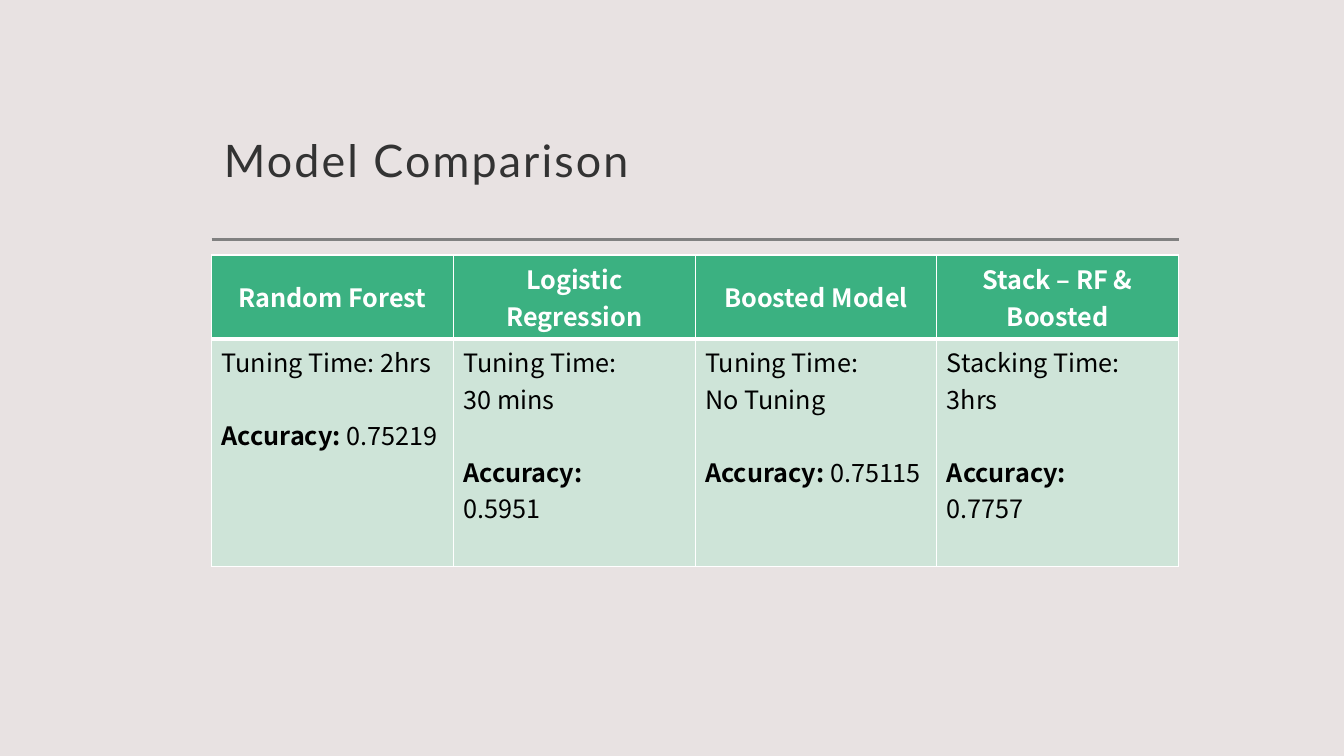
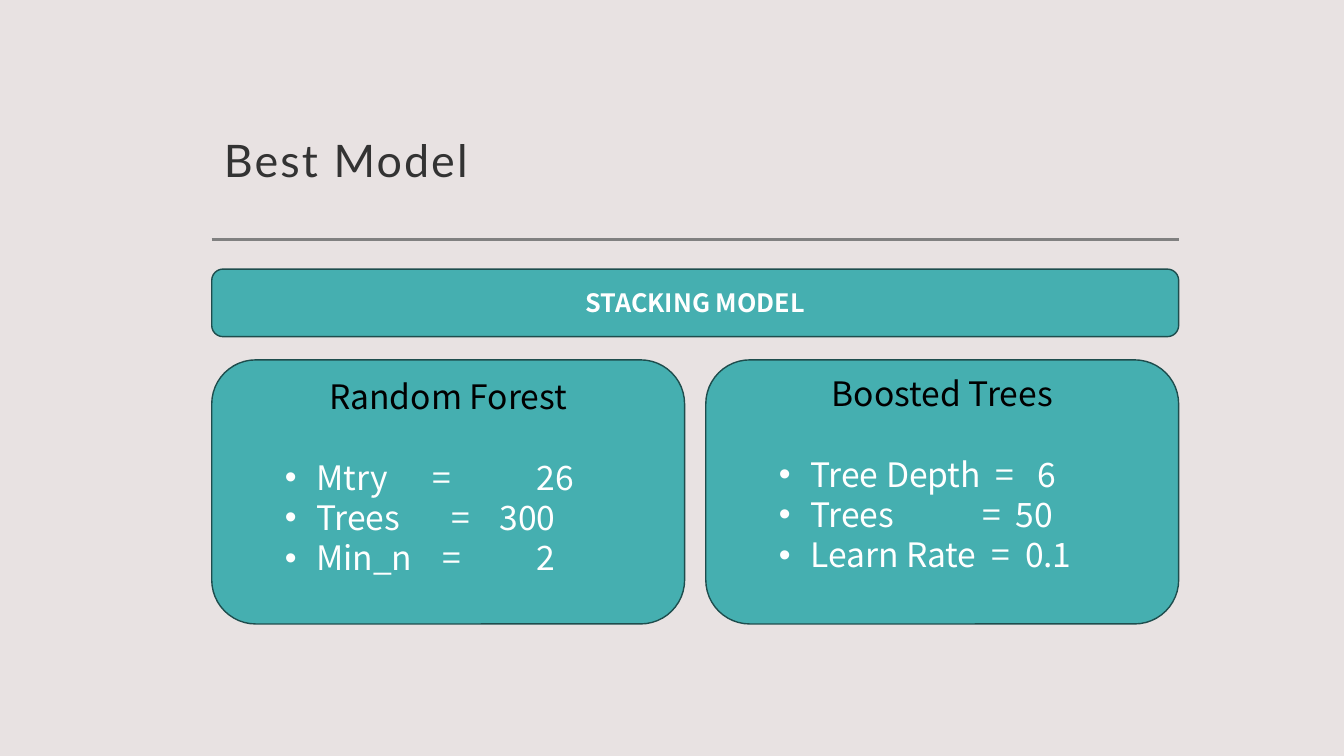
from lxml.etree import SubElement
from pptx import Presentation
from pptx.dml.color import RGBColor
from pptx.enum.shapes import MSO_CONNECTOR, MSO_SHAPE
from pptx.enum.text import MSO_ANCHOR, MSO_AUTO_SIZE, PP_ALIGN
from pptx.oxml.ns import qn
from pptx.util import Inches, Pt

COLORS = {
    "background": "E8E2E2", "rule": "808080", "title": "333333",
    "header": "3BB181", "body": "CEE4D8", "card": "45AFB0",
    "outline": "1E4D4D", "white": "FFFFFF", "black": "000000",
}
BODY_FONT = "Noto Sans CJK JP"
LEFT, WIDTH = 2.1, 9.59


def color(name):
    return RGBColor.from_string(COLORS[name])


def add_run(paragraph, text, size, ink, bold=False, name=BODY_FONT):
    run = paragraph.add_run()
    run.text = text
    formats = {"size": Pt(size), "bold": bold, "name": name}
    for attribute, value in formats.items():
        setattr(run.font, attribute, value)
    run.font.color.rgb = color(ink)
    return run


presentation = Presentation()
presentation.slide_width = Inches(13.33)
presentation.slide_height = Inches(7.5)
background = presentation.slide_master.background.fill
background.solid()
background.fore_color.rgb = color("background")
title_layout = presentation.slide_layouts[5]

slides = []
for heading in ("Model Comparison", "Best Model"):
    slide = presentation.slides.add_slide(title_layout)
    slides.append(slide)
    rule = slide.shapes.add_connector(
        MSO_CONNECTOR.STRAIGHT, Inches(LEFT), Inches(2.38), Inches(LEFT + WIDTH), Inches(2.38))
    rule.line.color.rgb = color("rule")
    rule.line.width = Pt(2)
    SubElement(rule._element.spPr, qn("a:effectLst"))

    title = slide.shapes.title
    title_box = {"left": LEFT, "top": 0.48, "width": WIDTH, "height": 1.47}
    for attribute, value in title_box.items():
        setattr(title, attribute, Inches(value))
    frame_format = {
        "margin_left": Inches(0.12), "margin_top": Inches(0.12),
        "margin_right": Inches(0.12), "margin_bottom": Inches(0.1),
        "vertical_anchor": MSO_ANCHOR.BOTTOM, "word_wrap": True,
        "auto_size": MSO_AUTO_SIZE.NONE,
    }
    for attribute, value in frame_format.items():
        setattr(title.text_frame, attribute, value)
    paragraph = title.text_frame.paragraphs[0]
    paragraph.alignment = PP_ALIGN.LEFT
    paragraph.line_spacing = 1.3
    run = add_run(paragraph, heading, 32, "title", name="Lato")
    run._r.get_or_add_rPr().set("spc", "150")

comparison, best = slides

models = [
    ("Random Forest", ["Tuning Time: 2hrs"], ["Accuracy: ", "0.75219"], True),
    ("Logistic Regression", ["Tuning Time:", "30 mins"], ["Accuracy:", "0.5951"], False),
    ("Boosted Model", ["Tuning Time:", "No Tuning"], ["Accuracy: ", "0.75115"], True),
    ("Stack – RF & Boosted", ["Stacking Time:", "3hrs"], ["Accuracy:", "0.7757"], False),
]
row_heights = (0.83, 2.26)
table = comparison.shapes.add_table(
    2, len(models), Inches(LEFT), Inches(2.53), Inches(WIDTH), Inches(sum(row_heights))).table
for row, height in zip(table.rows, row_heights):
    row.height = Inches(height)
for column, (model, times, (label, score), same_line) in enumerate(models):
    header, body = table.cell(0, column), table.cell(1, column)
    header.vertical_anchor = MSO_ANCHOR.MIDDLE
    paragraph = header.text_frame.paragraphs[0]
    paragraph.alignment = PP_ALIGN.CENTER
    add_run(paragraph, model, 18, "white", bold=True)

    frame = body.text_frame
    for index, text in enumerate(times):
        paragraph = frame.add_paragraph() if index else frame.paragraphs[0]
        add_run(paragraph, text, 18, "black")
    paragraph = frame.add_paragraph()
    paragraph.space_before = Pt(26)
    add_run(paragraph, label, 18, "black", bold=True)
    if not same_line:
        paragraph = frame.add_paragraph()
    add_run(paragraph, score, 18, "black")

    for cell, fill, top, bottom in ((header, "header", 1, 3), (body, "body", 3, 1)):
        properties = cell._tc.get_or_add_tcPr()
        for side, points in (("L", 1), ("R", 1), ("T", top), ("B", bottom)):
            border = SubElement(properties, qn(f"a:ln{side}"), w=str(Pt(points)))
            solid = SubElement(border, qn("a:solidFill"))
            SubElement(solid, qn("a:srgbClr"), val=COLORS["white"])
        cell.fill.solid()
        cell.fill.fore_color.rgb = color(fill)

CARD_WIDTH = 4.69
cards = [
    (LEFT, 2.67, WIDTH, 0.67, "STACKING MODEL", [], 0.05),
    (LEFT, 3.57, CARD_WIDTH, 2.62, "Random Forest",
     [("Mtry\t=\t26", 1.96, 3), ("Trees\t=\t300", 2.15, 2.63), ("Min_n\t=\t2", 2.06, 3)], 0.03),
    (LEFT + WIDTH - CARD_WIDTH, 3.57, CARD_WIDTH, 2.62, "Boosted Trees",
     [("Tree Depth\t=\t6", 2.65, 3.06), ("Trees\t=\t50", 2.52, 2.85),
      ("Learn Rate\t=\t0.1", 2.61, 2.94)], 0),
]
for left, top, width, height, heading, settings, margin in cards:
    card = best.shapes.add_shape(
        MSO_SHAPE.ROUNDED_RECTANGLE, Inches(left), Inches(top), Inches(width), Inches(height))
    card.shadow.inherit = False
    card.fill.solid()
    card.fill.fore_color.rgb = color("card")
    card.line.color.rgb = color("outline")
    card.line.width = Pt(1)
    frame = card.text_frame
    frame.word_wrap = True
    frame.margin_top = Inches(margin)
    frame.vertical_anchor = MSO_ANCHOR.TOP if settings else MSO_ANCHOR.MIDDLE
    paragraph = frame.paragraphs[0]
    paragraph.alignment = PP_ALIGN.CENTER
    if settings:
        add_run(paragraph, heading, 24, "black")
    else:
        add_run(paragraph, heading, 18, "white", bold=True)
    for index, (setting, *stops) in enumerate(settings):
        paragraph = frame.add_paragraph()
        paragraph.alignment = PP_ALIGN.LEFT
        paragraph.level = 1
        paragraph.space_before = Pt(0 if index else 29)
        add_run(paragraph, setting, 24, "white")
        properties = paragraph._p.get_or_add_pPr()
        properties.set("marL", str(Inches(0.81)))
        properties.set("indent", str(Inches(-0.31)))
        SubElement(properties, qn("a:buFont"), typeface="Arial")
        SubElement(properties, qn("a:buChar"), char="•")
        tab_list = SubElement(properties, qn("a:tabLst"))
        for stop in stops:
            SubElement(tab_list, qn("a:tab"), pos=str(Inches(stop)), algn="l")

presentation.save("out.pptx")
